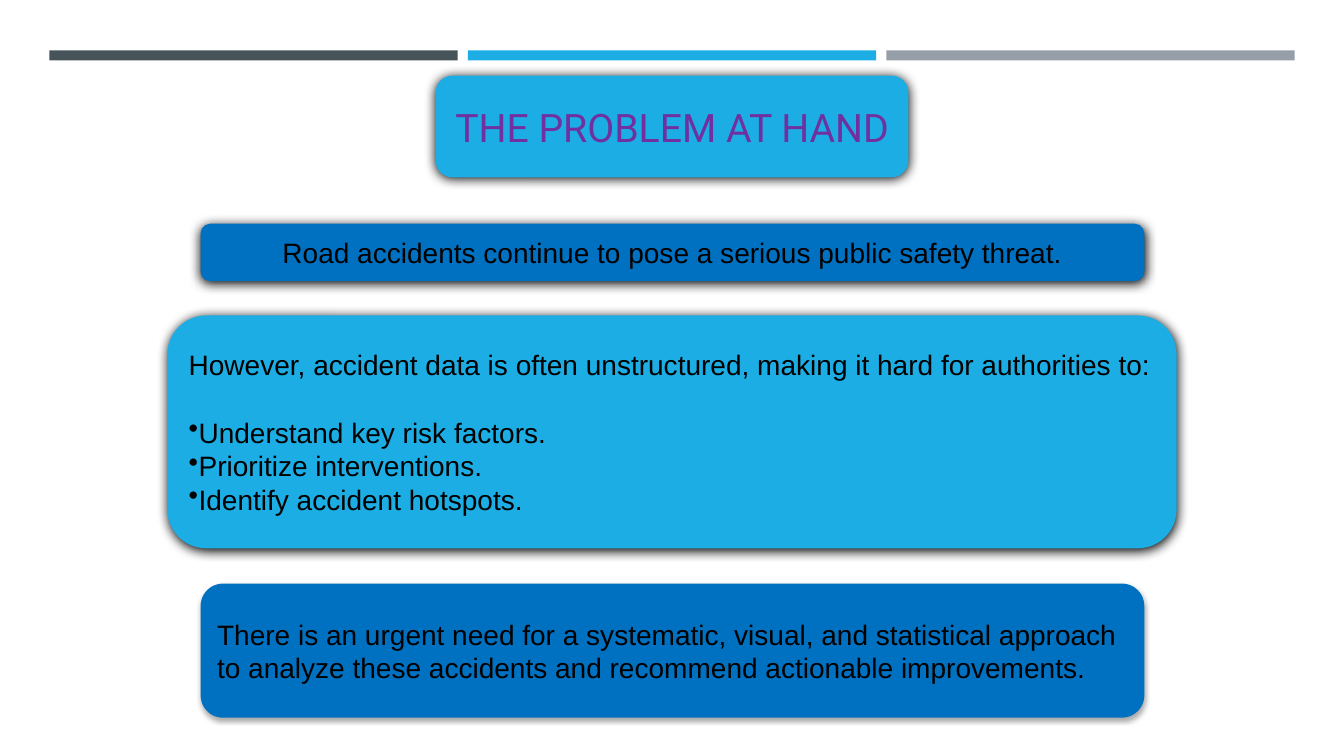
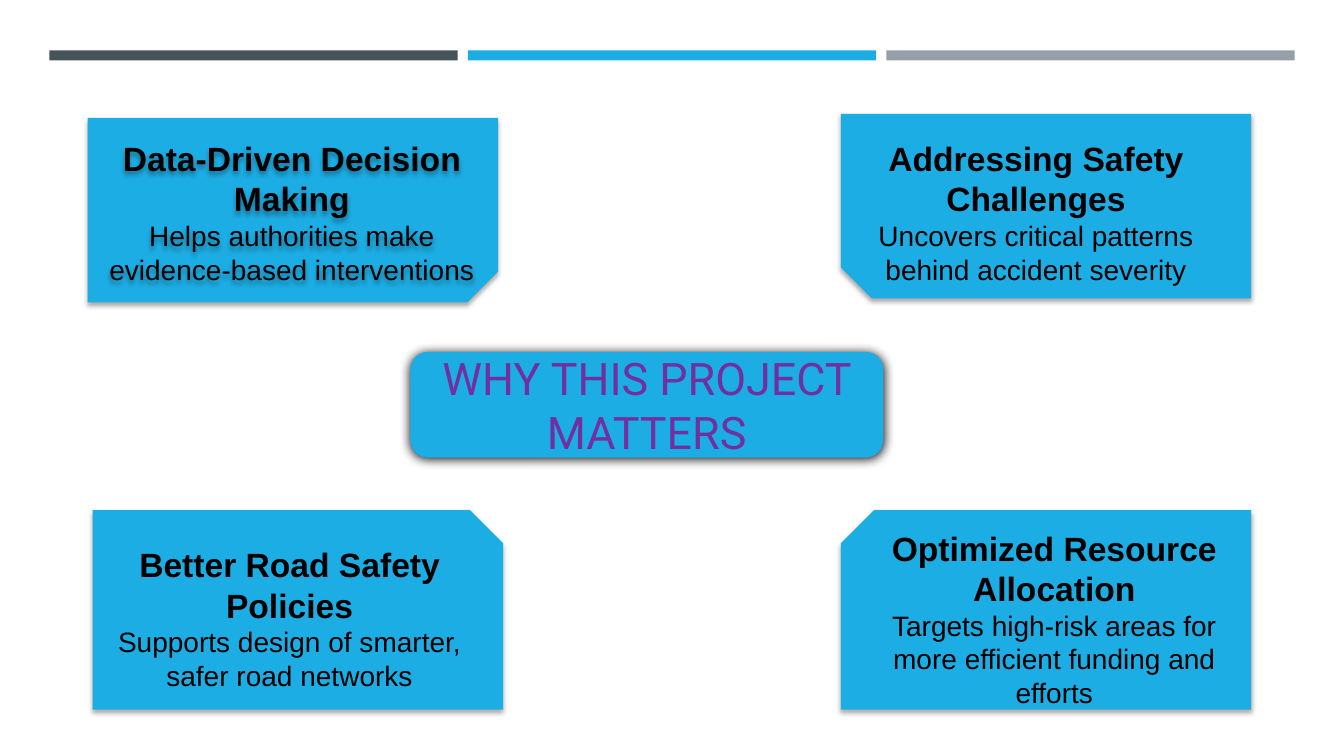
from lxml.etree import SubElement
from pptx import Presentation
from pptx.dml.color import RGBColor
from pptx.enum.shapes import MSO_SHAPE as SHAPE
from pptx.enum.text import MSO_ANCHOR as ANCHOR, PP_ALIGN as ALIGN
from pptx.oxml.ns import qn
from pptx.util import Inches, Pt

# Shared style
SKY, BLUE, SLATE, GREY = "1CADE4", "0070C0", "465359", "969FA7"
BLACK, PURPLE = "000000", "7030A0"
BODY_FONT, TITLE_FONT = "Arial", "Roboto"
BODY_SIZE, HEAD_SIZE = 20, 24
# Shadows: opacity %, blur pt, distance pt
STRONG, SOFT = (100, 8.5, 1), (32, 3.5, 2.2)
BAND_LEFT, BAND_TOP, BAND_W, BAND_H, BAND_STEP = 0.49, 0.5, 4.05, 0.1, 4.15
TITLE_W = 4.69
CARD_W = 4.07


def rgb(value):
    return RGBColor.from_string(value)


def set_shadow(sp, shadow):
    """Replace the theme shadow with a downward one, or with none."""
    sp.shadow.inherit = False
    if shadow:
        opacity, blur, dist = shadow
        effects = sp.element.spPr.find(qn("a:effectLst"))
        outer = SubElement(effects, qn("a:outerShdw"), blurRad=str(Pt(blur)),
                           dist=str(Pt(dist)), dir="5400000", rotWithShape="0")
        color = SubElement(outer, qn("a:srgbClr"), val=BLACK)
        SubElement(color, qn("a:alpha"), val=str(opacity * 1000))


def add_box(s, kind, at, fill, shadow=None, flip=""):
    sp = s.shapes.add_shape(kind, *map(Inches, at))
    sp.fill.solid()
    sp.fill.fore_color.rgb = rgb(fill)
    sp.line.fill.background()
    set_shadow(sp, shadow)
    for axis in flip:
        sp.element.spPr.xfrm.set("flip" + axis, "1")
    tf = sp.text_frame
    tf.word_wrap = True
    tf.vertical_anchor = ANCHOR.MIDDLE
    return sp


def add_text(tf, text, size=BODY_SIZE, color=BLACK, font=BODY_FONT,
             bold=False, align=ALIGN.CENTER):
    """Write into the empty first paragraph, or append a new one."""
    p = tf.paragraphs[0] if not tf.text else tf.add_paragraph()
    p.alignment = align
    r = p.add_run()
    r.text = text
    r.font.size = Pt(size)
    r.font.name = font
    r.font.bold = bold
    r.font.color.rgb = rgb(color)
    return p


def add_bullet(tf, text):
    p = add_text(tf, text, align=ALIGN.LEFT)
    SubElement(p._p.get_or_add_pPr(), qn("a:buChar"), char="•")


def add_title(s, left, top, height, text, size):
    sp = add_box(s, SHAPE.ROUNDED_RECTANGLE, (left, top, TITLE_W, height),
                 SKY, STRONG)
    add_text(sp.text_frame, text, size, PURPLE, TITLE_FONT)


def add_card_text(tf, heading, body):
    add_text(tf, heading, HEAD_SIZE, bold=True)
    add_text(tf, body)


def add_card(s, left, top, height, flip=""):
    return add_box(s, SHAPE.SNIP_1_RECTANGLE, (left, top, CARD_W, height),
                   SKY, SOFT, flip)


def add_card_label(s, left, heading, body, shadow=None):
    """Upright text over a card that is flipped top to bottom."""
    sp = s.shapes.add_textbox(*map(Inches, (left, 1.32, 3.87, 1.58)))
    set_shadow(sp, shadow)
    sp.text_frame.word_wrap = True
    add_card_text(sp.text_frame, heading, body)


def new_slide(prs):
    s = prs.slides.add_slide(prs.slide_layouts[6])
    for i, color in enumerate((SLATE, SKY, GREY)):
        add_box(s, SHAPE.RECTANGLE,
                (BAND_LEFT + i * BAND_STEP, BAND_TOP, BAND_W, BAND_H), color)
    return s


def build_problem(prs):
    s = new_slide(prs)
    add_title(s, 4.32, 0.75, 1.01, "THE PROBLEM AT HAND", 28)

    # Threat
    threat = add_box(s, SHAPE.ROUNDED_RECTANGLE, (1.99, 2.22, 9.36, 0.57),
                     BLUE, STRONG)
    add_text(threat.text_frame,
             "Road accidents continue to pose a serious public safety threat.")

    # Obstacles
    tf = add_box(s, SHAPE.ROUNDED_RECTANGLE, (1.66, 3.13, 10.01, 2.31),
                 SKY, STRONG).text_frame
    lead = add_text(tf, "However, accident data is often unstructured, making "
                    "it hard for authorities to:", align=ALIGN.LEFT)
    lead.space_after = Pt(24)
    for text in ("Understand key risk factors.", "Prioritize interventions.",
                 "Identify accident hotspots."):
        add_bullet(tf, text)

    # Need
    need = add_box(s, SHAPE.ROUNDED_RECTANGLE, (1.99, 5.79, 9.36, 1.33),
                   BLUE, SOFT)
    add_text(need.text_frame, "There is an urgent need for a systematic, "
             "visual, and statistical approach to analyze these accidents "
             "and recommend actionable improvements.", align=ALIGN.LEFT)


def build_reasons(prs):
    s = new_slide(prs)

    # Upper cards, snipped toward the centre
    add_card(s, 0.87, 1.17, 1.83, "V")
    add_card_label(s, 0.96, "Data-Driven Decision Making",
                   "Helps authorities make evidence-based interventions", SOFT)
    add_card(s, 8.34, 1.13, 1.83, "HV")
    add_card_label(s, 8.34, "Addressing Safety Challenges",
                   "Uncovers critical patterns behind accident severity")

    # Lower cards
    policies = add_card(s, 0.92, 5.06, 1.98)
    add_card_text(policies.text_frame, "Better Road Safety Policies",
                  "Supports design of smarter, safer road networks")
    resources = add_card(s, 8.34, 5.06, 1.98, "H")
    add_card_text(resources.text_frame, "Optimized Resource Allocation",
                  "Targets high-risk areas for more efficient funding "
                  "and efforts")

    add_title(s, 4.07, 3.49, 1.05, "WHY THIS PROJECT MATTERS", 32)


def main():
    prs = Presentation()
    prs.slide_width, prs.slide_height = Inches(13.33), Inches(7.5)
    build_problem(prs)
    build_reasons(prs)
    prs.save("out.pptx")


if __name__ == "__main__":
    main()
